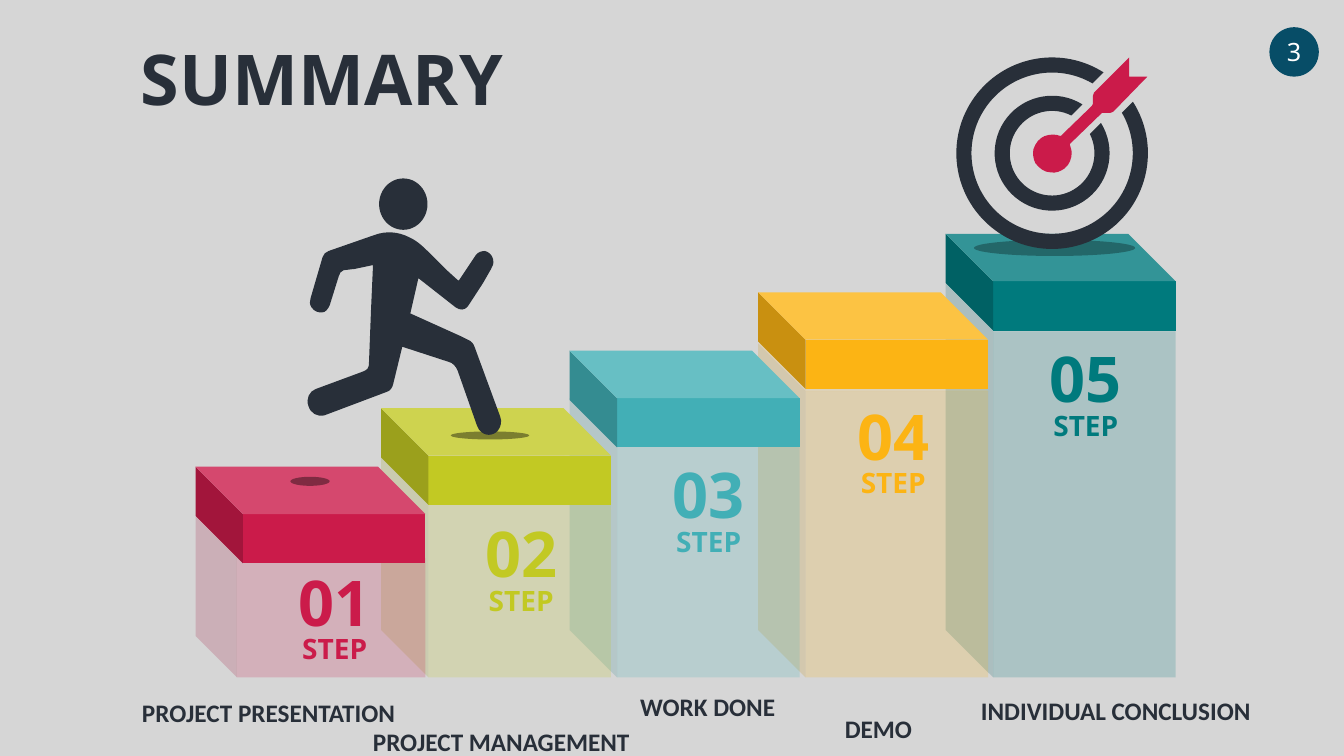
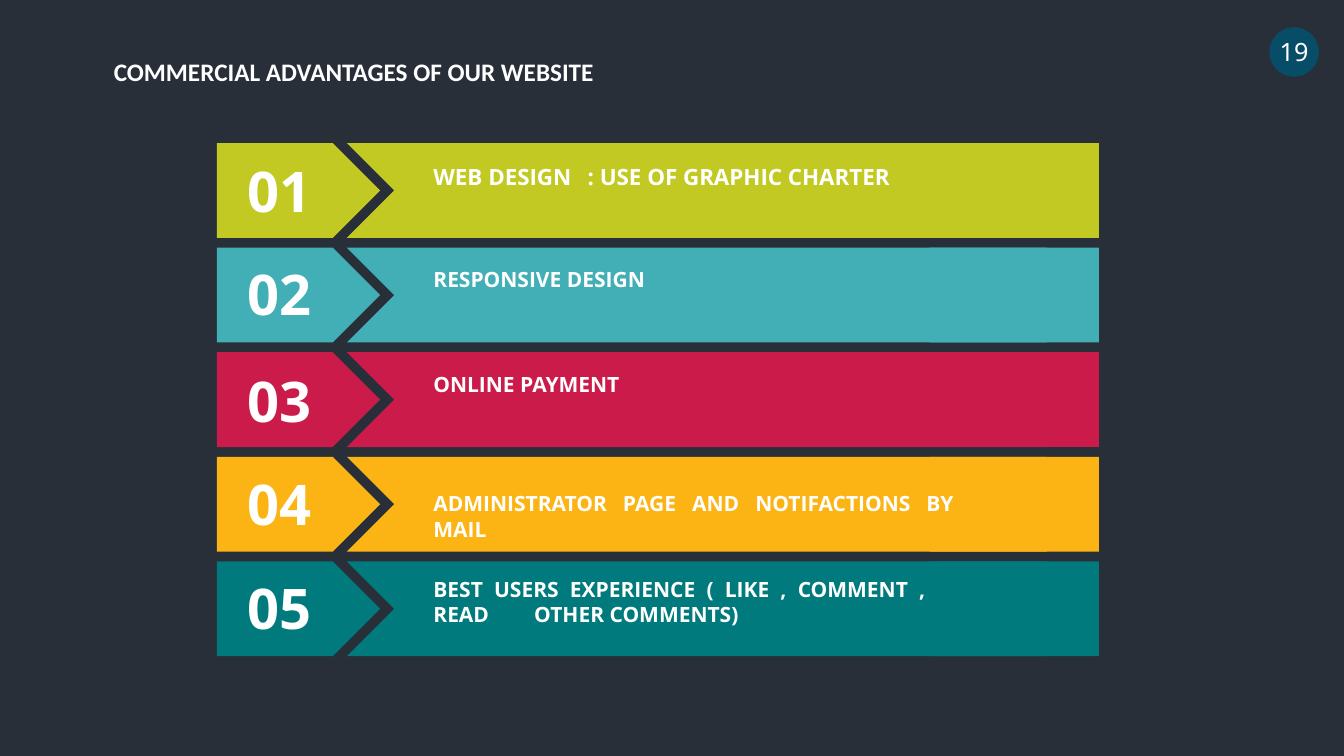
from math import asin, cos, pi, sin, tan

from lxml import etree
from pptx import Presentation
from pptx.dml.color import RGBColor
from pptx.enum.shapes import MSO_SHAPE
from pptx.enum.text import MSO_ANCHOR, PP_ALIGN
from pptx.oxml.ns import qn
from pptx.util import Emu, Pt

EMU_PER_PX = 9144
SLIDE_SIZE = (1333, 750)
BLANK_LAYOUT = 6

CUBE = MSO_SHAPE.CUBE
OVAL = MSO_SHAPE.OVAL
RECTANGLE = MSO_SHAPE.RECTANGLE
PENTAGON = MSO_SHAPE.PENTAGON
CHEVRON = MSO_SHAPE.CHEVRON
LEFT = PP_ALIGN.LEFT
CENTER = PP_ALIGN.CENTER
JUSTIFY = PP_ALIGN.JUSTIFY
MIDDLE = MSO_ANCHOR.MIDDLE

COLORS = {
    "gray": "D6D6D6",
    "dark": "282F39",
    "badge": "074D67",
    "white": "FFFFFF",
    "black": "000000",
    "crimson": "CB1B4A",
    "lime": "C2C923",
    "aqua": "42AFB6",
    "amber": "FCB414",
    "teal": "007A7D",
}
TITLE_FONT = "Noto Sans"
NUMBER_FONT = "Open Sans"
LABEL_FONT = "Calibri"

STEP_WIDTH = 228
STEP_BOTTOM = 672
CAP_HEIGHT = 96
CAP_DEPTH = 47
STEPS = [
    ("crimson", 194, 463, 513, 41, 267, 554),
    ("lime", 378, 405, 452, 47, 452, 506),
    ("aqua", 565, 348, 395, 47, 638, 447),
    ("amber", 752, 290, 341, 47, 821, 389),
    ("teal", 938, 232, 282, 47, 1012, 332),
]
STEP_LABELS = [
    ("PROJECT PRESENTATION", 131, 687),
    ("PROJECT MANAGEMENT", 360, 716),
    ("WORK DONE", 625, 681),
    ("DEMO", 828, 703),
    ("INDIVIDUAL CONCLUSION", 963, 685),
]

TARGET_CENTER = (1043.5, 152)
TARGET_RINGS = [(95, 80, 20.6), (57, 42, 13)]
DART = [
    (1120, 57), (1120, 76), (1138, 76), (1104, 111),
    (1103, 112, 1103, 112, 1101, 112), (1093, 112), (1061, 143),
    (1062, 147, 1063, 149, 1063, 151), (1063, 157, 1061, 163, 1056, 167),
    (1052, 170, 1047, 172, 1042, 171), (1036, 171, 1031, 167, 1027, 162),
    (1025, 158, 1024, 153, 1025, 148), (1027, 142, 1031, 137, 1036, 135),
    (1042, 133, 1047, 133, 1052, 135), (1083, 105), (1084, 103),
    (1084, 95), (1085, 92),
]
RUNNER_HEAD = (376, 177, 48, 51)
RUNNER_BODY = [
    (370, 263), (351, 267), (348, 267, 344, 268, 341, 268),
    (338, 269, 337, 271, 336, 274), (327, 303),
    (325, 307, 323, 310, 319, 310), (315, 310, 312, 309, 309, 305),
    (307, 302, 307, 299, 308, 296), (320, 255),
    (321, 252, 323, 250, 326, 249), (372, 233),
    (383, 229, 395, 230, 405, 235), (412, 238, 418, 243, 424, 249),
    (442, 267), (453, 277), (454, 279, 456, 279, 456, 277), (472, 253),
    (474, 250, 478, 249, 481, 249), (485, 250, 488, 253, 489, 257),
    (490, 261, 489, 264, 487, 267), (479, 281), (464, 304),
    (461, 308, 456, 308, 452, 305), (415, 276), (407, 311), (458, 334),
    (464, 337), (467, 338, 470, 341, 471, 345), (496, 413),
    (498, 418, 497, 423, 494, 427), (489, 433, 480, 433, 475, 426),
    (473, 422), (454, 368), (452, 363, 449, 360, 445, 359), (399, 344),
    (390, 381), (389, 385, 387, 388, 383, 389), (322, 412),
    (315, 414, 308, 410, 306, 403), (303, 396, 307, 388, 313, 386),
    (359, 369), (365, 367, 366, 365, 366, 359), (368, 307),
]

ROW_TOP = 142
ROW_HEIGHT = 94
ROWS_SPAN = 415
ADVANTAGES = [
    ("lime", "WEB DESIGN\t: USE OF GRAPHIC CHARTER", 150, 157, 508, 16, 153),
    ("aqua", "RESPONSIVE DESIGN", 253, 259, 508, 15, None),
    ("crimson", "ONLINE PAYMENT", 359, 364, 508, 15, None),
    ("amber", "ADMINISTRATOR PAGE AND NOTIFACTIONS BY MAIL",
     461, 482, 536, 15, None),
    ("teal", "BEST USERS EXPERIENCE ( LIKE , COMMENT , READ \tOTHER COMMENTS)",
     564, 567, 508, 15, 100),
]


def px(value):
    return Emu(round(value * EMU_PER_PX))


def rgb(color):
    return RGBColor.from_string(COLORS[color])


def paint(shape, color, opacity=100):
    shape.shadow.inherit = False
    shape.line.fill.background()
    shape.fill.solid()
    shape.fill.fore_color.rgb = rgb(color)
    if opacity < 100:
        fill_color = shape._element.spPr.find(qn("a:solidFill"))[0]
        alpha = etree.SubElement(fill_color, qn("a:alpha"))
        alpha.set("val", str(opacity * 1000))


def add_shape(slide, preset, box, color, opacity=100):
    shape = slide.shapes.add_shape(preset, *map(px, box))
    paint(shape, color, opacity)
    return shape


def add_cube(slide, box, depth, color, opacity=100):
    cube = add_shape(slide, CUBE, box, color, opacity)
    cube.adjustments[0] = depth / min(box[2:])
    cube._element.spPr.find(qn("a:xfrm")).set("flipH", "1")


def add_outline(slide, segments, color):
    start, *points = [(px(x), px(y)) for segment in segments
                      for x, y in zip(segment[::2], segment[1::2])]
    builder = slide.shapes.build_freeform(*start)
    builder.add_line_segments(points)
    shape = builder.convert_to_shape()
    paint(shape, color)
    bend_curves(shape, segments[1:])


def bend_curves(shape, segments):
    lines = iter(list(shape._element.spPr.iter(qn("a:lnTo"))))
    for segment in segments:
        group = [next(lines) for _ in segment[::2]]
        if len(group) == 1:
            continue
        outline = group[0].getparent()
        curve = etree.Element(qn("a:cubicBezTo"))
        group[0].addprevious(curve)
        for line in group:
            curve.append(line[0])
            outline.remove(line)


def write(text_frame, text, size, font, color, bold=True, align=LEFT):
    text_frame.text = text
    paragraph = text_frame.paragraphs[0]
    paragraph.alignment = align
    for run in paragraph.runs:
        run.font.size = Pt(size)
        run.font.name = font
        run.font.bold = bold
        run.font.color.rgb = rgb(color)


def add_text(slide, box, text, size, font, color, align=LEFT):
    text_frame = slide.shapes.add_textbox(*map(px, box)).text_frame
    text_frame.word_wrap = True
    write(text_frame, text, size, font, color, align=align)
    return text_frame.paragraphs[0]


def set_tab_stop(paragraph, position):
    properties = paragraph._p.get_or_add_pPr()
    tabs = etree.SubElement(properties, qn("a:tabLst"))
    tab = etree.SubElement(tabs, qn("a:tab"))
    tab.set("pos", str(px(position)))
    tab.set("algn", "l")


def add_page_badge(slide, number):
    badge = add_shape(slide, OVAL, (1259, 27, 49, 49), "badge")
    badge.text_frame.word_wrap = False
    badge.text_frame.vertical_anchor = MIDDLE
    write(badge.text_frame, str(number), 18, TITLE_FONT, "white", False, CENTER)


def add_slide(presentation, background, number):
    slide = presentation.slides.add_slide(
        presentation.slide_layouts[BLANK_LAYOUT])
    slide.background.fill.solid()
    slide.background.fill.fore_color.rgb = rgb(background)
    add_page_badge(slide, number)
    return slide


def arc_segments(radius, start, end, count=4):
    center_x, center_y = TARGET_CENTER
    sweep = (end - start) / count
    pull = 4 / 3 * tan(sweep / 4)

    def point(angle, offset=0):
        return (center_x + radius * (cos(angle) - offset * sin(angle)),
                center_y - radius * (sin(angle) + offset * cos(angle)))

    angles = [start + sweep * index for index in range(count + 1)]
    return [point(start)] + [
        point(first, pull) + point(last, -pull) + point(last)
        for first, last in zip(angles, angles[1:])]


def add_target(slide):
    add_shape(slide, OVAL, (966, 238, 160, 16), "black", 30)
    for outer, inner, half_gap in TARGET_RINGS:
        ring = []
        for radius, direction in ((outer, 1), (inner, -1)):
            cut = asin(half_gap / radius)
            ends = (pi / 4 + cut, pi / 4 + 2 * pi - cut)
            ring += arc_segments(radius, *ends[::direction])
        add_outline(slide, ring, "dark")
    add_outline(slide, DART, "crimson")


def add_runner(slide):
    add_shape(slide, OVAL, (447, 428, 78, 8), "black", 40)
    add_outline(slide, RUNNER_BODY, "dark")
    add_shape(slide, OVAL, RUNNER_HEAD, "dark")
    add_shape(slide, OVAL, (288, 473, 39, 9), "black", 40)


def add_stairs(slide):
    for color, left, _, top, depth, _, _ in reversed(STEPS):
        box = (left, top, STEP_WIDTH, STEP_BOTTOM - top)
        add_cube(slide, box, depth, color, 20)
    for number, step in enumerate(STEPS, 1):
        color, left, top, _, _, text_left, text_top = step
        add_cube(slide, (left, top, STEP_WIDTH, CAP_HEIGHT), CAP_DEPTH, color)
        add_text(slide, (text_left, text_top, 130, 86), f"{number:02}", 45,
                 NUMBER_FONT, color, CENTER)
        add_text(slide, (text_left, text_top + 68, 130, 44), "STEP", 20,
                 NUMBER_FONT, color, CENTER)


def add_advantage(slide, index, advantage):
    color, text, number_top, text_top, text_width, size, tab_stop = advantage
    top = ROW_TOP + index * ROWS_SPAN / (len(ADVANTAGES) - 1)
    for preset, left, width in ((PENTAGON, 215, 162), (CHEVRON, 344, 741),
                                (RECTANGLE, 922, 168)):
        add_shape(slide, preset, (left, top, width, ROW_HEIGHT), color)
    add_text(slide, (222, number_top, 111, 77), f"{index + 1:02}", 40,
             NUMBER_FONT, "white", CENTER)
    paragraph = add_text(slide, (420, text_top, text_width, 35), text, size,
                         NUMBER_FONT, "white", JUSTIFY)
    if tab_stop:
        set_tab_stop(paragraph, tab_stop)


def build_summary(presentation):
    slide = add_slide(presentation, "gray", 3)
    add_text(slide, (130, 30, 715, 94), "SUMMARY", 50, TITLE_FONT, "dark")
    add_stairs(slide)
    add_target(slide)
    add_runner(slide)
    for label, left, top in STEP_LABELS:
        add_text(slide, (left, top, 325, 40), label, 18, LABEL_FONT, "dark")


def build_advantages(presentation):
    slide = add_slide(presentation, "dark", 19)
    add_text(slide, (103, 51, 501, 40), "COMMERCIAL ADVANTAGES OF OUR WEBSITE",
             18, LABEL_FONT, "white")
    for index, advantage in enumerate(ADVANTAGES):
        add_advantage(slide, index, advantage)


def main():
    presentation = Presentation()
    presentation.slide_width, presentation.slide_height = map(px, SLIDE_SIZE)
    build_summary(presentation)
    build_advantages(presentation)
    presentation.save("out.pptx")


if __name__ == "__main__":
    main()
